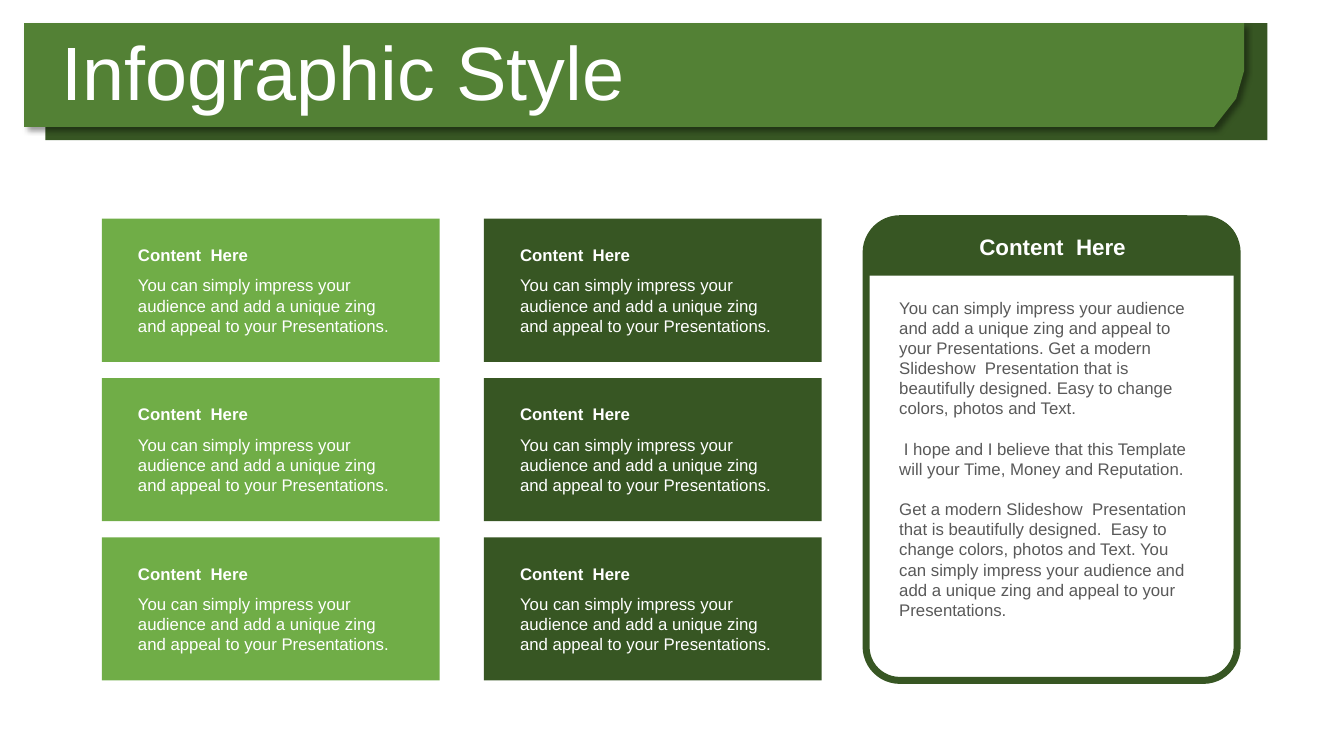
from lxml import etree
from pptx import Presentation
from pptx.dml.color import RGBColor
from pptx.enum.shapes import MSO_SHAPE as Kind
from pptx.enum.text import MSO_ANCHOR as Anchor, MSO_AUTO_SIZE as Fit, PP_ALIGN as Align
from pptx.oxml.ns import qn
from pptx.util import Inches, Pt

# Content
TITLE = "Infographic Style"
HEAD = "Content  Here"
PITCH = ("You can simply impress your audience and add a unique zing "
         "and appeal to your Presentations.")
STORY = [
    PITCH + " Get a modern Slideshow  Presentation that is beautifully designed. "
    "Easy to change colors, photos and Text.",
    " I hope and I believe that this Template will your Time, Money and Reputation.",
    "Get a modern Slideshow  Presentation that is beautifully designed.  "
    "Easy to change colors, photos and Text. " + PITCH,
]

# Look
DARK, MID, LIGHT = "375623", "538135", "70AD47"
WHITE, GREY = "FFFFFF", "595959"
FONT = "Arial"
RIBBON = [(0.24, 0.23), (12.34, 0.23), (12.34, 0.7),
          (12.26, 0.98), (12.04, 1.26), (0.24, 1.26)]

# Card grid
COLS = [(1.01, LIGHT), (4.8, DARK)]
ROWS, TOP, STEP = 3, 2.17, 1.58
CARD_W, CARD_H = 3.35, 1.42
PAD, TEXT_W = 0.26, 2.82

deck = Presentation()
deck.slide_width, deck.slide_height = Inches(13.33), Inches(7.5)
slide = deck.slides.add_slide(deck.slide_layouts[6])
shapes = slide.shapes


def color(code):
    return RGBColor.from_string(code)


def paint(shape, fill, line=None):
    shape.shadow.inherit = False
    shape.fill.solid()
    shape.fill.fore_color.rgb = color(fill)
    if line:
        shape.line.color.rgb = color(line)
        shape.line.width = Pt(5)
    else:
        shape.line.fill.background()


def block(kind, at, fill, line=None, adjust=()):
    shape = shapes.add_shape(kind, *map(Inches, at))
    for i, value in enumerate(adjust):
        shape.adjustments[i] = value
    paint(shape, fill, line)


def write(home, at, lines, size, ink, bold=False, align=Align.LEFT, gap=0):
    box = home.add_textbox(*map(Inches, at))
    frame = box.text_frame
    frame.word_wrap = True
    frame.auto_size = Fit.SHAPE_TO_FIT_TEXT
    frame.text = "\n".join(lines)
    for i, para in enumerate(frame.paragraphs):
        para.alignment = align
        if i and gap:
            para.space_before = Pt(gap)
        for run in para.runs:
            font = run.font
            font.name, font.size, font.bold = FONT, Pt(size), bold
            font.color.rgb = color(ink)
    return frame


def cast(shape):
    effects = shape._element.spPr.find(qn("a:effectLst"))
    shadow = etree.SubElement(effects, qn("a:outerShdw"), blurRad=str(Pt(4)),
                              dist=str(Pt(3)), dir="2700000", algn="tl", rotWithShape="0")
    tint = etree.SubElement(shadow, qn("a:srgbClr"), val="000000")
    etree.SubElement(tint, qn("a:alpha"), val="40000")


# Title banner
block(Kind.RECTANGLE, (0.45, 0.23, 12.12, 1.16), DARK)
points = [(Inches(x), Inches(y)) for x, y in RIBBON]
pen = shapes.build_freeform(*points[0])
pen.add_line_segments(points[1:], close=True)
ribbon = pen.convert_to_shape()
paint(ribbon, MID)
cast(ribbon)
title = write(shapes, (0.51, 0.36, 10.98, 0.79), [TITLE], 54, WHITE)
title.auto_size = Fit.NONE
title.vertical_anchor = Anchor.MIDDLE
title.paragraphs[0].line_spacing = 0.9

# Cards
for left, fill in COLS:
    for row in range(ROWS):
        top = TOP + row * STEP
        block(Kind.RECTANGLE, (left, top, CARD_W, CARD_H), fill)
        group = shapes.add_group_shape().shapes
        write(group, (left + PAD, top + 0.51, TEXT_W, 0.71), [PITCH], 12, WHITE)
        write(group, (left + PAD, top + 0.21, TEXT_W, 0.3), [HEAD], 12, WHITE, bold=True)

# Side panel
block(Kind.ROUNDED_RECTANGLE, (8.59, TOP, 3.68, 4.58), WHITE, DARK, [0.091])
block(Kind.ROUND_2_SAME_RECTANGLE, (8.62, 2.2, 3.63, 0.5), DARK, DARK, [0.5, 0])
write(shapes, (8.82, 2.9, 3.18, 3.33), STORY, 12, GREY, gap=14.4)
write(shapes, (9.14, 2.26, 2.6, 0.37), [HEAD], 16, WHITE, bold=True, align=Align.CENTER)

deck.save("out.pptx")
